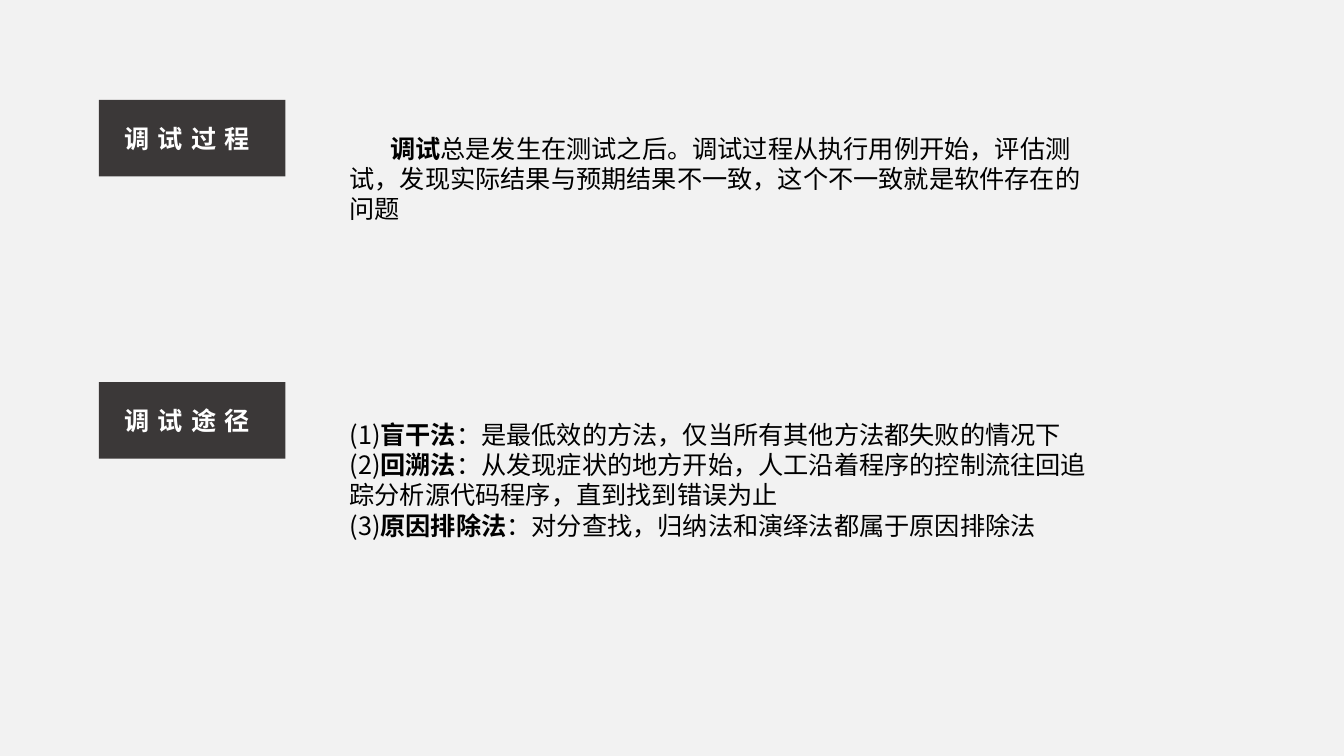
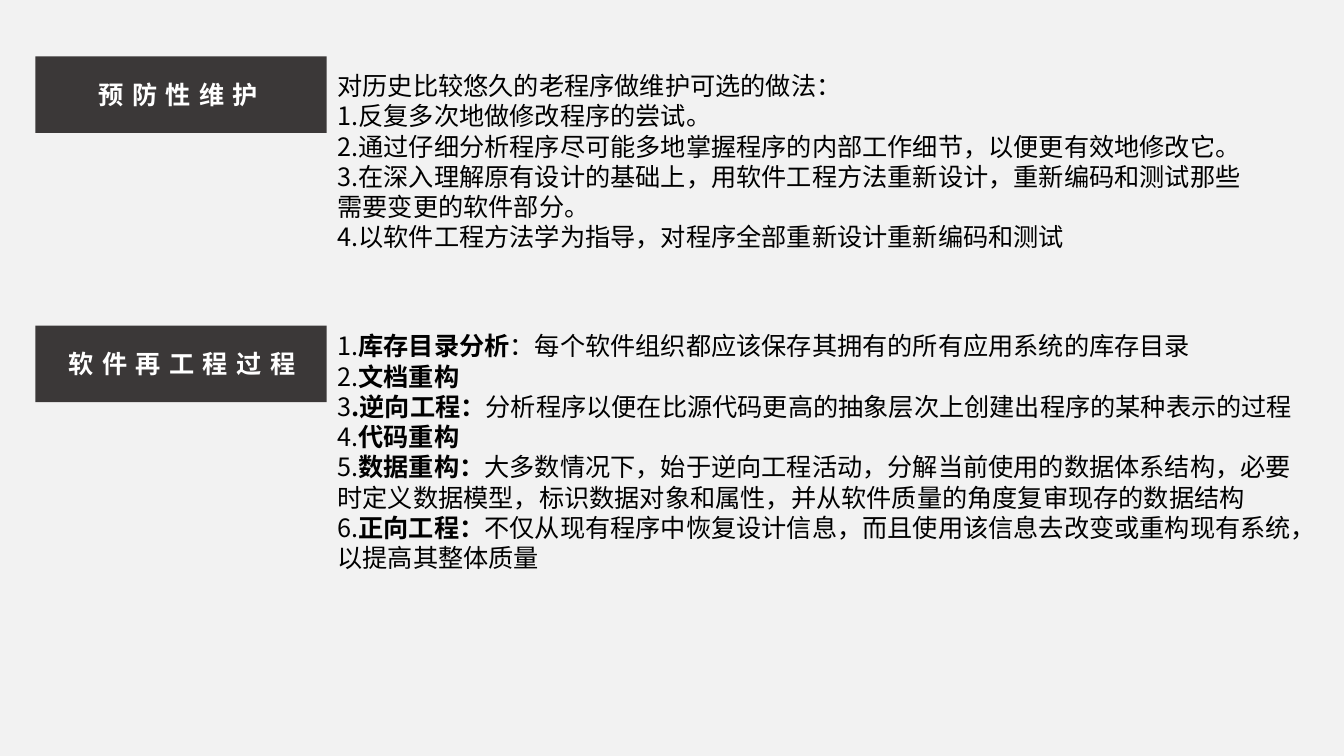
"""Build two summary slides on debugging and software maintenance."""
from lxml.etree import SubElement
from pptx import Presentation
from pptx.dml.color import RGBColor
from pptx.enum.lang import MSO_LANGUAGE_ID
from pptx.enum.shapes import MSO_SHAPE
from pptx.enum.text import MSO_ANCHOR, MSO_AUTO_SIZE, PP_ALIGN
from pptx.oxml.ns import qn
from pptx.util import Pt

COLORS = {"background": "F2F2F2", "label": "3B3838", "light": "FFFFFF", "text": "000000"}
FONT = "Noto Sans CJK SC"
FONT_SIZE = 18
LABEL_HEIGHT = 54.7
LABEL_SPACING = 6
BLANK_LAYOUT = 6

SLIDES = [
    {
        "label_width": 133.2,
        "gap": 38.8,
        "sections": [
            {
                "box": (70.6, 71.3, 712.7, 92.8),
                "label": "调试过程", "inset": 18, "drop": 20.1, "indent": 29,
                "body": [
                    ("", "调试", "总是发生在测试之后。调试过程从执行用例开始，评估测试，发现实际结果与预期结果不一致，这个不一致就是软件存在的问题"),
                ],
            },
            {
                "box": (70.6, 272.9, 712.7, 138.9),
                "label": "调试途径", "inset": 18, "drop": 23, "indent": 0,
                "body": [
                    ("(1)", "盲干法", "：是最低效的方法，仅当所有其他方法都失败的情况下"),
                    ("(2)", "回溯法", "：从发现症状的地方开始，人工沿着程序的控制流往回追踪分析源代码程序，直到找到错误为止"),
                    ("(3)", "原因排除法", "：对分查找，归纳法和演绎法都属于原因排除法"),
                ],
            },
        ],
    },
    {
        "label_width": 208.1,
        "gap": 0.7,
        "sections": [
            {
                "box": (25.2, 40.3, 885.6, 144.7),
                "label": "预防性维护", "inset": 45.2, "drop": 6.5, "indent": 0,
                "body": [
                    ("对历史比较悠久的老程序做维护可选的做法：",),
                    ("1.反复多次地做修改程序的尝试。",),
                    ("2.通过仔细分析程序尽可能多地掌握程序的内部工作细节，以便更有效地修改它。",),
                    ("3.在深入理解原有设计的基础上，用软件工程方法重新设计，重新编码和测试那些需要变更的软件部分。",),
                    ("4.以软件工程方法学为指导，对程序全部重新设计重新编码和测试",),
                ],
            },
            {
                "box": (25.2, 232.6, 915.1, 181.4),
                "label": "软件再工程过程", "inset": 23.8, "drop": 0, "indent": 0,
                "body": [
                    ("1.", "库存目录分析", "：每个软件组织都应该保存其拥有的所有应用系统的库存目录"),
                    ("2.", "文档重构"),
                    ("3", ".逆向工程：", "分析程序以便在比源代码更高的抽象层次上创建出程序的某种表示的过程"),
                    ("4.", "代码重构"),
                    ("5.", "数据重构：", "大多数情况下，始于逆向工程活动，分解当前使用的数据体系结构，必要时定义数据模型，标识数据对象和属性，并从软件质量的角度复审现存的数据结构"),
                    ("6.", "正向工程：", "不仅从现有程序中恢复设计信息，而且使用该信息去改变或重构现有系统，以提高其整体质量"),
                ],
            },
        ],
    },
]


def set_fill(fill, color):
    fill.solid()
    fill.fore_color.rgb = RGBColor.from_string(COLORS[color])


def add_run(p, text, color, bold):
    r = p.add_run()
    r.text = text
    font = r.font
    font.name, font.size, font.bold = FONT, Pt(FONT_SIZE), bold
    font.color.rgb = RGBColor.from_string(COLORS[color])
    font.language_id = MSO_LANGUAGE_ID.SIMPLIFIED_CHINESE
    rPr = r._r.get_or_add_rPr()
    SubElement(rPr, qn("a:ea")).set("typeface", FONT)
    return r


def add_label(s, box, text, inset):
    sp = s.shapes.add_shape(MSO_SHAPE.RECTANGLE, *map(Pt, box))
    sp.shadow.inherit = False
    set_fill(sp.fill, "label")
    sp.line.fill.background()
    tf = sp.text_frame
    tf.word_wrap = False
    tf.vertical_anchor = MSO_ANCHOR.MIDDLE
    tf.margin_left, tf.margin_right = Pt(inset), 0
    p = tf.paragraphs[0]
    p.alignment = PP_ALIGN.LEFT
    r = add_run(p, text, "light", True)
    r._r.get_or_add_rPr().set("spc", str(LABEL_SPACING * 100))


def add_body(s, box, paragraphs, indent):
    tf = s.shapes.add_textbox(*map(Pt, box)).text_frame
    tf.word_wrap = True
    tf.auto_size = MSO_AUTO_SIZE.SHAPE_TO_FIT_TEXT
    for i, runs in enumerate(paragraphs):
        p = tf.add_paragraph() if i else tf.paragraphs[0]
        if indent:
            p._p.get_or_add_pPr().set("indent", str(Pt(indent)))
        for j, text in enumerate(runs):
            if text:
                add_run(p, text, "text", j % 2 == 1)


def add_section(s, section, label_width, gap):
    left, top, width, height = section["box"]
    offset, drop = label_width + gap, section["drop"]
    add_label(s, (left, top, label_width, LABEL_HEIGHT), section["label"], section["inset"])
    add_body(s, (left + offset, top + drop, width - offset, height - drop),
             section["body"], section["indent"])


def main():
    prs = Presentation()
    prs.slide_width, prs.slide_height = Pt(960), Pt(540)
    set_fill(prs.slide_master.background.fill, "background")
    for page in SLIDES:
        s = prs.slides.add_slide(prs.slide_layouts[BLANK_LAYOUT])
        for section in page["sections"]:
            add_section(s, section, page["label_width"], page["gap"])
    prs.save("out.pptx")


if __name__ == "__main__":
    main()
